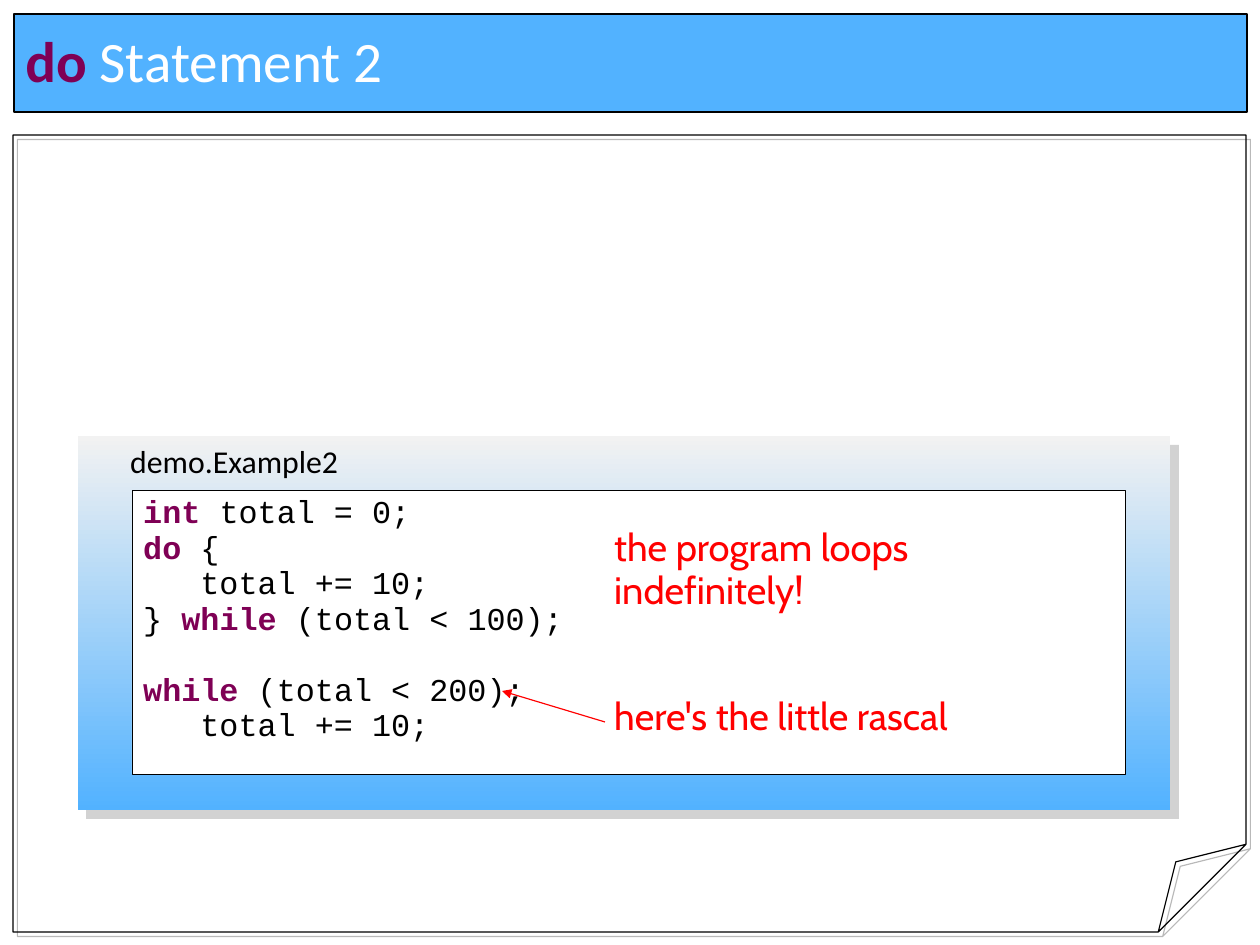
import pptx
import pptx.dml.color
import pptx.enum.shapes
import pptx.enum.text
import pptx.oxml
import pptx.oxml.ns
import pptx.util
from lxml import etree

RGBColor = pptx.dml.color.RGBColor
SHAPE = pptx.enum.shapes.MSO_SHAPE
ANCHOR = pptx.enum.text.MSO_ANCHOR

EMU_PER_PX = 8000
BLACK = RGBColor(0x00, 0x00, 0x00)
WHITE = RGBColor(0xFF, 0xFF, 0xFF)
BLUE = RGBColor(0x52, 0xB2, 0xFF)
PALE_GRAY = RGBColor(0xF2, 0xF2, 0xF2)
SHADOW_GRAY = RGBColor(0x80, 0x80, 0x80)
KEYWORD = RGBColor(0x7F, 0x00, 0x55)
RED = RGBColor(0xFF, 0x00, 0x00)

LINE_SPACING = 0.93
CODE_GAP = 22.3
CODE_LINES = [
    [("int", True), (" total = 0;", False)],
    [("do", True), (" {", False)],
    [("   total += 10;", False)],
    [("} ", False), ("while", True), (" (total < 100);", False)],
    [("while", True), (" (total < 200);", False)],
    [("   total += 10;", False)],
]
LOOP_LINE = 4
CALLOUTS = [("the program loops indefinitely!", 0), ("here's the little rascal", 53)]


def px(length):
    return pptx.util.Emu(length * EMU_PER_PX)


def add_run(paragraph, text, *, font, size, color=BLACK, bold=False):
    run = paragraph.add_run()
    run.text = text
    run.font.name = font
    run.font.size = pptx.util.Pt(size)
    run.font.bold = bold
    run.font.color.rgb = color


def add_paragraph(text_frame, index, *, space_before=0, line_spacing=LINE_SPACING):
    """Return the first paragraph for index 0, otherwise a new one."""
    paragraph = text_frame.add_paragraph() if index else text_frame.paragraphs[0]
    paragraph.alignment = pptx.enum.text.PP_ALIGN.LEFT
    paragraph.line_spacing = line_spacing
    paragraph.space_before = pptx.util.Pt(space_before)
    return paragraph


def set_outline(shape, color, width):
    shape.line.color.rgb = color
    shape.line.width = pptx.util.Pt(width)


def set_shadow(shape, *, distance, opacity):
    """Give the shape a sharp shadow to the lower right."""
    shape.shadow.inherit = False
    effects = shape._element.spPr.find(pptx.oxml.ns.qn("a:effectLst"))
    effects.append(pptx.oxml.parse_xml(
        f'<a:outerShdw {pptx.oxml.ns.nsdecls("a")} blurRad="0" '
        f'dist="{pptx.util.Pt(distance)}" dir="2700000" algn="tl" rotWithShape="0">'
        f'<a:srgbClr val="{SHADOW_GRAY}"><a:alpha val="{opacity * 1000}"/></a:srgbClr>'
        "</a:outerShdw>"))


def add_box(slide, kind, left, top, width, height):
    shape = slide.shapes.add_shape(kind, px(left), px(top), px(width), px(height))
    shape.shadow.inherit = False
    return shape


def add_text_box(slide, left, top, width, height, *, wrap):
    box = slide.shapes.add_textbox(px(left), px(top), px(width), px(height))
    box.text_frame.word_wrap = wrap
    return box.text_frame


def format_title(slide):
    title = slide.shapes.title
    title.left, title.top, title.width, title.height = px(14), px(14), px(1233), px(98)
    title.fill.solid()
    title.fill.fore_color.rgb = BLUE
    set_outline(title, BLACK, 0.75)
    title.text_frame.vertical_anchor = ANCHOR.MIDDLE
    paragraph = add_paragraph(title.text_frame, 0)
    add_run(paragraph, "do", font="Calibri", size=36, color=KEYWORD, bold=True)
    add_run(paragraph, " Statement 2", font="Calibri", size=36, color=WHITE)


def add_page_frame(slide):
    page = add_box(slide, SHAPE.FOLDED_CORNER, 13, 135, 1233, 797)
    qn = pptx.oxml.ns.qn
    geometry = page._element.spPr.find(qn("a:prstGeom"))
    etree.SubElement(geometry.find(qn("a:avLst")), qn("a:gd"), name="adj", fmla="val 11000")
    page.fill.background()
    set_outline(page, BLACK, 0.75)
    set_shadow(page, distance=4, opacity=55)


def add_example_panel(slide):
    panel = add_box(slide, SHAPE.RECTANGLE, 78, 436, 1092, 374)
    panel.fill.gradient()
    panel.fill.gradient_angle = 270
    for stop, color, position in zip(panel.fill.gradient_stops, (PALE_GRAY, BLUE), (0, 1)):
        stop.color.rgb = color
        stop.position = position
    panel.line.fill.background()
    set_shadow(panel, distance=8, opacity=35)


def add_code(slide):
    listing = add_box(slide, SHAPE.RECTANGLE, 132, 490, 993, 284)
    listing.fill.solid()
    listing.fill.fore_color.rgb = WHITE
    set_outline(listing, BLACK, 0.14)
    listing.text_frame.word_wrap = True
    listing.text_frame.vertical_anchor = ANCHOR.TOP
    for index, line in enumerate(CODE_LINES):
        gap = CODE_GAP if index == LOOP_LINE else 0
        paragraph = add_paragraph(listing.text_frame, index, space_before=gap)
        for text, is_keyword in line:
            add_run(paragraph, text, font="Courier New", size=20, bold=is_keyword,
                    color=KEYWORD if is_keyword else BLACK)


def add_callouts(slide):
    text_frame = add_text_box(slide, 603, 522, 477, 239, wrap=True)
    for index, (text, gap) in enumerate(CALLOUTS):
        paragraph = add_paragraph(text_frame, index, space_before=gap)
        add_run(paragraph, text, font="Cabin", size=24, color=RED)


def add_arrow(slide, start, end):
    arrow = slide.shapes.add_connector(
        pptx.enum.shapes.MSO_CONNECTOR.STRAIGHT, *map(px, start + end))
    set_outline(arrow, RED, 0.75)
    qn = pptx.oxml.ns.qn
    etree.SubElement(arrow.line._get_or_add_ln(), qn("a:tailEnd"), type="triangle")
    etree.SubElement(arrow._element.spPr, qn("a:effectLst"))


def main():
    presentation = pptx.Presentation()
    presentation.slide_width, presentation.slide_height = px(1260), px(945)
    slide = presentation.slides.add_slide(presentation.slide_layouts[5])
    format_title(slide)
    add_page_frame(slide)
    add_example_panel(slide)
    add_code(slide)
    caption = add_text_box(slide, 119, 436, 231, 50, wrap=False)
    add_run(add_paragraph(caption, 0, line_spacing=1), "demo.Example2", font="Calibri", size=20)
    add_callouts(slide)
    add_arrow(slide, (605, 722), (502, 691))
    presentation.save("out.pptx")


if __name__ == "__main__":
    main()
